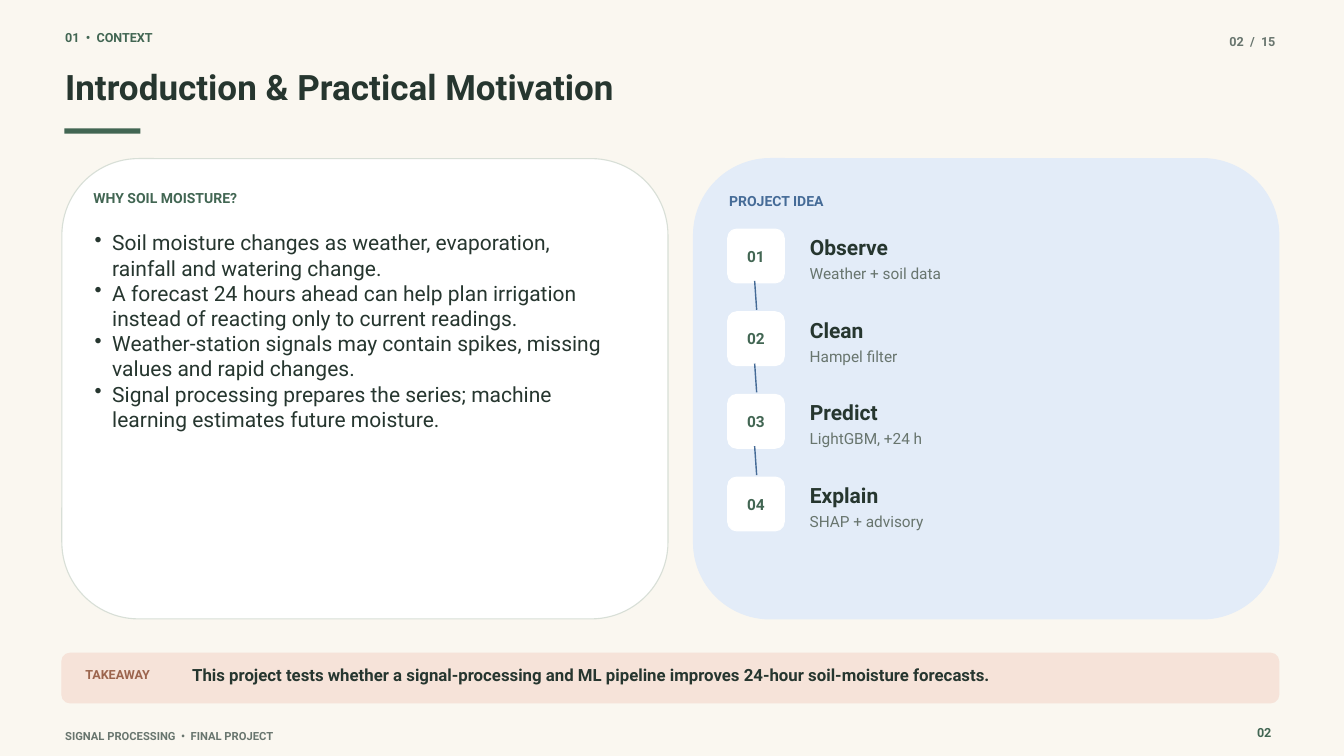
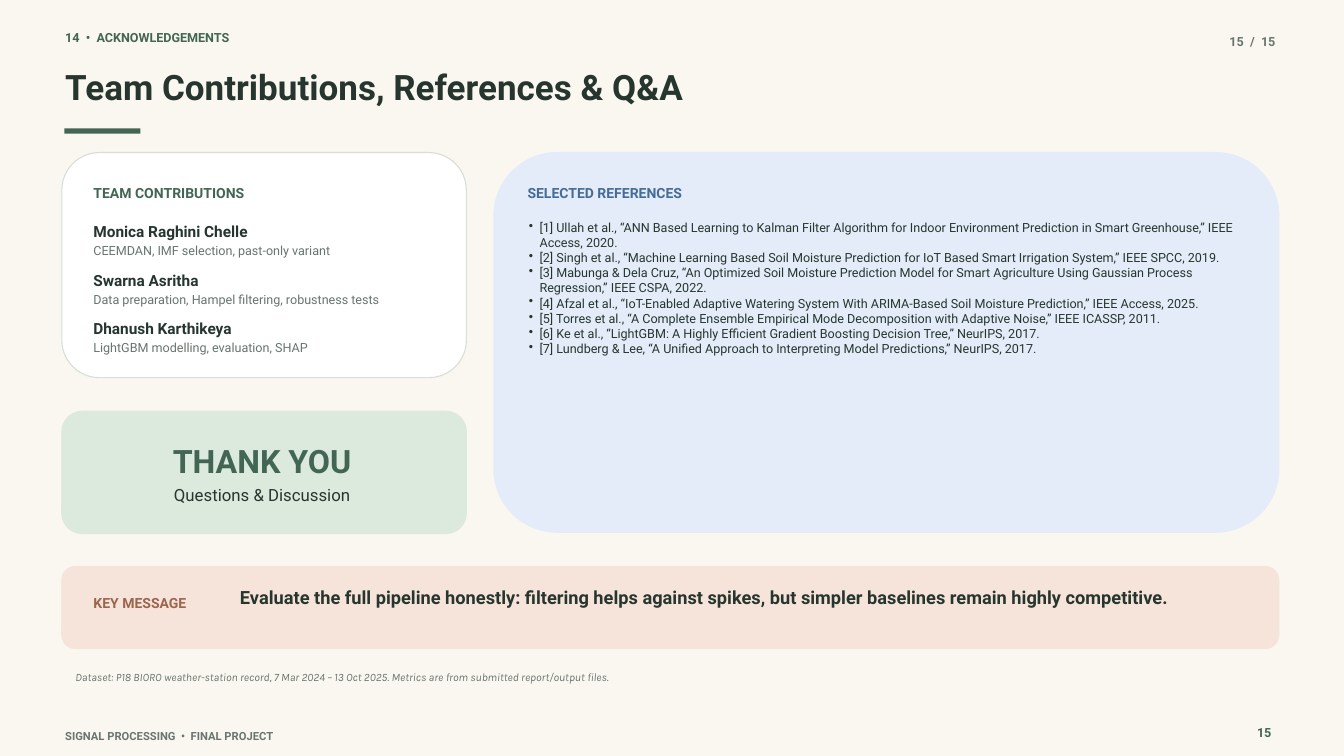
import pptx
import pptx.dml.color
import pptx.enum.shapes
import pptx.enum.text
import pptx.util
from lxml import etree
from pptx.oxml.ns import qn

Inches = pptx.util.Inches
Pt = pptx.util.Pt
Align = pptx.enum.text.PP_ALIGN
Anchor = pptx.enum.text.MSO_ANCHOR
Shape = pptx.enum.shapes.MSO_SHAPE

CREAM, WHITE, BORDER = "FAF7F0", "FFFFFF", "D8DFD7"
GREEN, INK, GREY = "426653", "26362F", "68756E"
BLUE, PALE_BLUE = "456B97", "E3ECF8"
RUST, PEACH, MINT = "9C654E", "F6E3D9", "DCE9DD"
FONT = "Roboto"
LEFT, FULL_WIDTH = 0.92, 18.11
TOTAL_SLIDES = 15

MOTIVES = [
    "Soil moisture changes as weather, evaporation, rainfall and watering change.",
    "A forecast 24 hours ahead can help plan irrigation instead of reacting only to current readings.",
    "Weather-station signals may contain spikes, missing values and rapid changes.",
    "Signal processing prepares the series; machine learning estimates future moisture.",
]
STEPS = [
    ("Observe", "Weather + soil data"),
    ("Clean", "Hampel filter"),
    ("Predict", "LightGBM, +24 h"),
    ("Explain", "SHAP + advisory"),
]
TEAM = [
    ("Monica Raghini Chelle", "CEEMDAN, IMF selection, past-only variant"),
    ("Swarna Asritha", "Data preparation, Hampel filtering, robustness tests"),
    ("Dhanush Karthikeya", "LightGBM modelling, evaluation, SHAP"),
]
REFERENCES = [
    "[1] Ullah et al., “ANN Based Learning to Kalman Filter Algorithm for Indoor Environment "
    "Prediction in Smart Greenhouse,” IEEE Access, 2020.",
    "[2] Singh et al., “Machine Learning Based Soil Moisture Prediction for IoT Based Smart "
    "Irrigation System,” IEEE SPCC, 2019.",
    "[3] Mabunga & Dela Cruz, “An Optimized Soil Moisture Prediction Model for Smart Agriculture "
    "Using Gaussian Process Regression,” IEEE CSPA, 2022.",
    "[4] Afzal et al., “IoT-Enabled Adaptive Watering System With ARIMA-Based Soil Moisture "
    "Prediction,” IEEE Access, 2025.",
    "[5] Torres et al., “A Complete Ensemble Empirical Mode Decomposition with Adaptive Noise,” "
    "IEEE ICASSP, 2011.",
    "[6] Ke et al., “LightGBM: A Highly Efficient Gradient Boosting Decision Tree,” NeurIPS, 2017.",
    "[7] Lundberg & Lee, “A Unified Approach to Interpreting Model Predictions,” NeurIPS, 2017.",
]


def rgb(hex_colour):
    return pptx.dml.color.RGBColor.from_string(hex_colour)


def inches(*lengths):
    return [Inches(length) for length in lengths]


def style_paragraph(paragraph, size, colour, bold=False, italic=False,
                    align=Align.LEFT, font=FONT):
    paragraph.alignment = align
    paragraph.line_spacing = Pt(size * 1.2)
    paragraph.space_before = Pt(0)
    paragraph.font.name = font
    paragraph.font.size = Pt(size)
    paragraph.font.bold = bold
    paragraph.font.italic = italic
    paragraph.font.color.rgb = rgb(colour)


def clear_frame(frame, anchor=Anchor.TOP):
    """Remove the insets, wrap the text and anchor it."""
    frame.margin_left = frame.margin_right = frame.margin_top = frame.margin_bottom = 0
    frame.word_wrap = True
    frame.auto_size = pptx.enum.text.MSO_AUTO_SIZE.NONE
    frame.vertical_anchor = anchor


def add_text(slide, text, box, size, colour, **style):
    frame = slide.shapes.add_textbox(*inches(*box)).text_frame
    clear_frame(frame)
    frame.text = text
    style_paragraph(frame.paragraphs[0], size, colour, **style)


def add_bullets(slide, items, box, size, indent):
    frame = slide.shapes.add_textbox(*inches(*box)).text_frame
    clear_frame(frame)
    frame.text = "\n".join(items)
    for paragraph in frame.paragraphs:
        properties = paragraph._p.get_or_add_pPr()
        properties.set("marL", str(Inches(indent)))
        properties.set("indent", str(-Inches(indent)))
        etree.SubElement(properties, qn("a:buChar")).set("char", "•")
        style_paragraph(paragraph, size, INK)


def add_block(slide, box, fill, border=None, kind=Shape.ROUNDED_RECTANGLE):
    block = slide.shapes.add_shape(kind, *inches(*box))
    block.shadow.inherit = False
    block.fill.solid()
    block.fill.fore_color.rgb = rgb(fill)
    block.line.color.rgb = rgb(border or fill)
    block.line.width = Pt(1.2)
    return block


def add_link(slide, start, end):
    link = slide.shapes.add_connector(
        pptx.enum.shapes.MSO_CONNECTOR.STRAIGHT, *inches(*start, *end))
    link.line.color.rgb = rgb(BLUE)
    link.line.width = Pt(1.5)
    etree.SubElement(link._element.spPr, qn("a:effectLst"))


def add_step(slide, number, top, name, detail):
    tile = add_block(slide, (10.83, top, 0.84, 0.8), WHITE)
    clear_frame(tile.text_frame, Anchor.MIDDLE)
    tile.text_frame.text = f"{number:02}"
    style_paragraph(tile.text_frame.paragraphs[0], 16.5, GREEN, bold=True, align=Align.CENTER)
    add_text(slide, name, (12.05, top + 0.08, 3.22, 0.28), 22.5, INK, bold=True)
    add_text(slide, detail, (12.05, top + 0.52, 5.17, 0.22), 16.5, GREY)


def add_member(slide, top, name, work):
    add_text(slide, name, (1.39, top, 5.02, 0.22), 16.5, INK, bold=True)
    add_text(slide, work, (1.39, top + 0.31, 5.02, 0.23), 13.5, GREY)


def add_framed_slide(prs, number, section, title):
    """Add a slide with the shared section label, title, accent bar and footer."""
    slide = prs.slides.add_slide(prs.slide_layouts[5])
    heading = slide.shapes.title
    heading.left, heading.top, heading.width, heading.height = inches(0.97, 0.97, 17.93, 0.79)
    clear_frame(heading.text_frame)
    heading.text_frame.text = title
    style_paragraph(heading.text_frame.paragraphs[0], 37.5, INK, bold=True)

    add_text(slide, section, (0.97, 0.45, 8.18, 0.31), 13.5, GREEN, bold=True)
    accent = add_block(slide, (0.96, 1.91, 1.13, 0.08), GREEN, kind=Shape.RECTANGLE)
    accent.line.fill.background()
    add_text(slide, f"{number:02}  /  {TOTAL_SLIDES}", (17.48, 0.51, 1.5, 0.26), 13.5, GREY,
             bold=True, align=Align.RIGHT)
    add_text(slide, "SIGNAL PROCESSING  •  FINAL PROJECT", (0.97, 10.85, 12.68, 0.16), 12, GREY,
             bold=True)
    add_text(slide, f"{number:02}", (18.28, 10.79, 0.64, 0.23), 13.5, GREEN,
             bold=True, align=Align.RIGHT)
    return slide


def build_introduction(prs):
    slide = add_framed_slide(prs, 2, "01  •  CONTEXT", "Introduction & Practical Motivation")

    add_block(slide, (LEFT, 2.36, 9.02, 6.85), WHITE, BORDER)
    add_text(slide, "WHY SOIL MOISTURE?", (1.39, 2.82, 5.92, 0.3), 15, GREEN, bold=True)
    add_bullets(slide, MOTIVES, (1.41, 3.42, 7.78, 4.97), 22.5, 0.26)

    add_block(slide, (10.32, 2.36, 8.71, 6.85), PALE_BLUE)
    add_text(slide, "PROJECT IDEA", (10.85, 2.86, 2.92, 0.3), 15, BLUE, bold=True)
    first_top, pitch = 3.41, 1.23
    for index, (name, detail) in enumerate(STEPS):
        top = first_top + index * pitch
        add_step(slide, index + 1, top, name, detail)
        if index < len(STEPS) - 1:
            add_link(slide, (11.23, top + 0.77), (11.26, top + 1.2))

    add_block(slide, (LEFT, 9.72, FULL_WIDTH, 0.74), PEACH)
    add_text(slide, "TAKEAWAY", (1.27, 9.92, 1.5, 0.2), 13.5, RUST, bold=True)
    add_text(slide, "This project tests whether a signal-processing and ML pipeline improves "
             "24-hour soil-moisture forecasts.", (2.86, 9.89, 15.76, 0.34), 18, INK, bold=True)


def build_closing(prs):
    slide = add_framed_slide(prs, 15, "14  •  ACKNOWLEDGEMENTS",
                             "Team Contributions, References & Q&A")

    add_block(slide, (LEFT, 2.27, 6.02, 3.35), WHITE, BORDER)
    add_text(slide, "TEAM CONTRIBUTIONS", (1.39, 2.74, 4.12, 0.27), 15, GREEN, bold=True)
    for index, (name, work) in enumerate(TEAM):
        add_member(slide, 3.31 + index * 0.72, name, work)

    add_block(slide, (7.35, 2.27, 11.68, 5.65), PALE_BLUE)
    add_text(slide, "SELECTED REFERENCES", (7.85, 2.74, 4.72, 0.27), 15, BLUE, bold=True)
    add_bullets(slide, REFERENCES, (7.87, 3.27, 10.56, 4.23), 13.5, 0.16)

    add_block(slide, (LEFT, 6.12, 6.02, 1.82), MINT)
    add_text(slide, "THANK YOU", (1.39, 6.56, 5.02, 0.45), 34.5, GREEN,
             bold=True, align=Align.CENTER)
    add_text(slide, "Questions & Discussion", (1.39, 7.22, 5.02, 0.25), 18, INK,
             align=Align.CENTER)

    add_block(slide, (LEFT, 8.43, FULL_WIDTH, 1.22), PEACH)
    add_text(slide, "KEY MESSAGE", (1.39, 8.84, 1.95, 0.22), 15, RUST, bold=True)
    add_text(slide, "Evaluate the full pipeline honestly: filtering helps against spikes, but "
             "simpler baselines remain highly competitive.", (3.57, 8.72, 14.48, 0.45), 19.5, INK,
             bold=True)
    add_text(slide, "Dataset: P18 BIORO weather-station record, 7 Mar 2024 – 13 Oct 2025. "
             "Metrics are from submitted report/output files.", (1.12, 9.98, 17.48, 0.22), 12, GREY,
             italic=True, font="Karla")


def main():
    prs = pptx.Presentation()
    prs.slide_width, prs.slide_height = inches(20, 11.25)
    background = prs.slide_master.background.fill
    background.solid()
    background.fore_color.rgb = rgb(CREAM)
    build_introduction(prs)
    build_closing(prs)
    prs.save("out.pptx")


if __name__ == "__main__":
    main()
